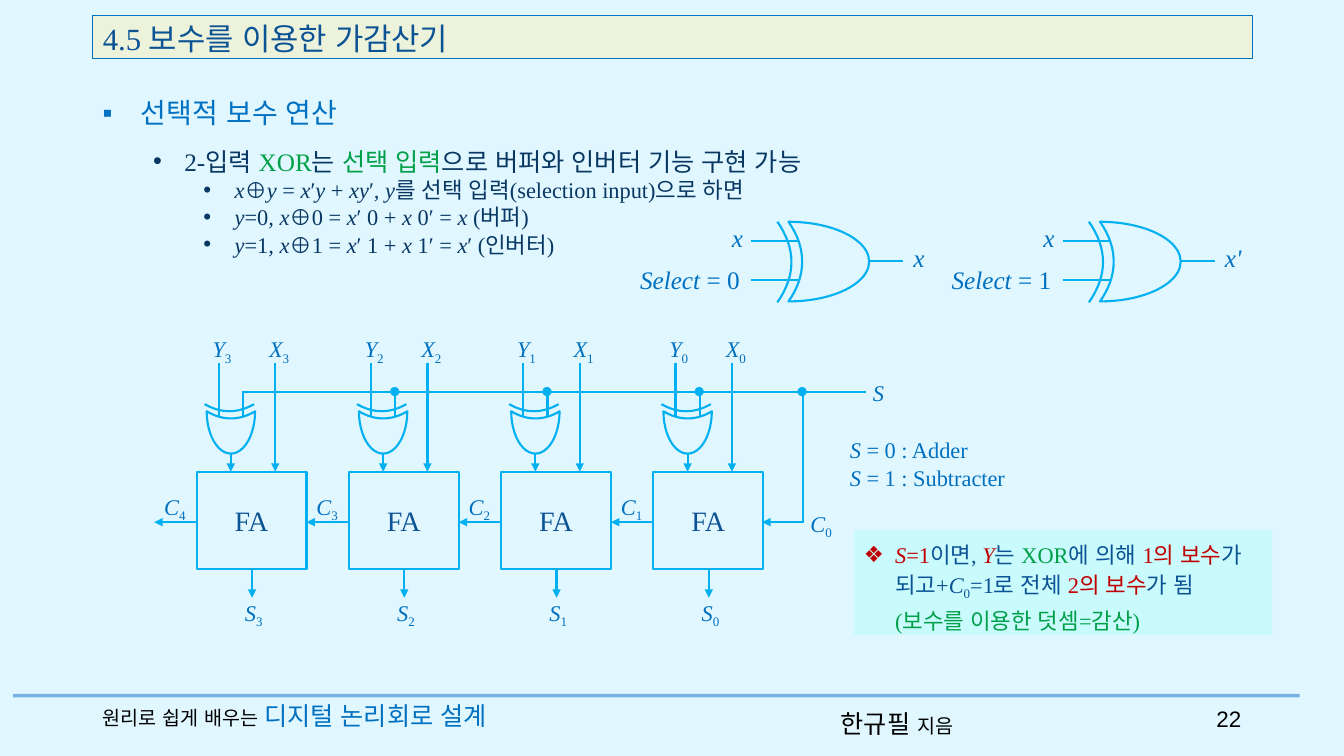
from dataclasses import dataclass
from typing import Any

from lxml.etree import SubElement
from pptx import Presentation
from pptx.dml.color import RGBColor
from pptx.enum.shapes import MSO_CONNECTOR as Link, MSO_SHAPE as Preset
from pptx.enum.text import MSO_ANCHOR as Anchor, MSO_AUTO_SIZE as Fit, PP_ALIGN as Align
from pptx.oxml.ns import qn
from pptx.util import Inches, Pt

SERIF, KOREAN, SANS = "Times New Roman", "Noto Sans CJK KR", "Arial"
COLORS = {
    "page": "E1F7FF", "banner": "EDF3DB", "callout": "C9FAFC", "wire": "00B0F0",
    "label": "0070C0", "title": "0B5394", "ink": "083763", "green": "00A048",
    "red": "C00000", "black": "000000", "rule": "0F6FC6",
}
BITS = 4
PITCH = 1.51


def rgb(hue):
    """Look up a palette colour."""
    return RGBColor.from_string(COLORS[hue])


def write(paragraph, pieces, face=SERIF):
    """Add (markup, hue, size) pieces; *italic*, _subscript_, newline breaks the line."""
    for markup, hue, size in pieces:
        for i, slanted in enumerate(markup.split("*")):
            for j, lowered in enumerate(slanted.split("_")):
                for k, words in enumerate(lowered.split("\n")):
                    if k:
                        paragraph.add_line_break()
                    if not words:
                        continue
                    run = paragraph.add_run()
                    run.text = words
                    font = run.font
                    font.name, font.size, font.italic = face, Pt(size), i % 2 == 1
                    font.color.rgb = rgb(hue)
                    props = run._r.get_or_add_rPr()
                    SubElement(props, qn("a:ea")).set("typeface", SANS)
                    if j % 2:
                        props.set("baseline", "-25000")


def bullet(paragraph, mark, indent, hang):
    """Give a paragraph a bullet with a hanging indent in inches."""
    props = paragraph._p.get_or_add_pPr()
    props.set("marL", str(Inches(indent)))
    props.set("indent", str(-Inches(hang)))
    SubElement(props, qn("a:buFont")).set("typeface", SANS)
    SubElement(props, qn("a:buChar")).set("char", mark)


def paint(shape, fill=None, line=None, width=1.5):
    """Set fill and outline and drop the shadow."""
    shape.shadow.inherit = False
    if fill:
        shape.fill.solid()
        shape.fill.fore_color.rgb = rgb(fill)
    else:
        shape.fill.background()
    if line:
        shape.line.color.rgb = rgb(line)
        shape.line.width = Pt(width)
    else:
        shape.line.fill.background()


@dataclass
class Region:
    """An area of the slide whose parts are placed from its top left corner."""
    shapes: Any
    left: float
    top: float

    def at(self, x, y):
        """Turn region inches into slide lengths."""
        return Inches(self.left + x), Inches(self.top + y)

    def text(self, x, y, width, height, pieces, face=SERIF, wrap=False):
        """Place a text box and return its frame."""
        frame = self.shapes.add_textbox(*self.at(x, y), Inches(width), Inches(height)).text_frame
        frame.word_wrap, frame.auto_size = wrap, Fit.NONE
        write(frame.paragraphs[0], pieces, face)
        return frame

    def label(self, x, y, width, markup, size=16, height=0.37):
        """Place a signal label."""
        return self.text(x, y, width, height, [(markup, "label", size)])

    def wire(self, x1, y1, x2, y2, arrow=False, hue="wire", width=1.5):
        """Draw a straight wire, with an arrowhead at its end if asked."""
        wire = self.shapes.add_connector(Link.STRAIGHT, *self.at(x1, y1), *self.at(x2, y2))
        wire.line.color.rgb = rgb(hue)
        wire.line.width = Pt(width)
        if arrow:
            SubElement(wire.line._get_or_add_ln(), qn("a:tailEnd")).set("type", "triangle")
        SubElement(wire._element.spPr, qn("a:effectLst"))
        return wire

    def block(self, preset, x, y, width, height, fill=None, line="wire"):
        """Place a preset shape."""
        block = self.shapes.add_shape(preset, *self.at(x, y), Inches(width), Inches(height))
        paint(block, fill, line)
        return block

    def body(self, x, y, width, height, turn):
        """Draw the body of an XOR gate, turned by the given degrees."""
        body = self.block(Preset.MOON, x, y, width, height, "page")
        body.adjustments[0] = 0.83
        body.rotation = turn

    def arc(self, x, y, length, depth, down=False):
        """Draw the input arc of an XOR gate as two curves, bulging right or down."""
        shares = [(0, 0), (2 / 3, 1 / 6), (1, 1 / 3), (1, 1 / 2), (1, 2 / 3), (2 / 3, 5 / 6), (0, 1)]
        points = [(depth * bulge, length * along) for bulge, along in shares]
        if down:
            points = [(along, bulge) for bulge, along in points]
        places = [self.at(x + dx, y + dy) for dx, dy in points]
        outline = self.shapes.build_freeform(*places[0])
        outline.add_line_segments(places[1:], close=False)
        arc = outline.convert_to_shape()
        track = arc._element.spPr.find(".//" + qn("a:path"))
        segments = track.findall(qn("a:lnTo"))
        for start in (0, 3):
            curve = SubElement(track, qn("a:cubicBezTo"))
            for segment in segments[start:start + 3]:
                curve.append(segment[0])
                track.remove(segment)
        paint(arc, line="wire")


def banner(title):
    """Format the slide title as a framed strip."""
    title.left, title.top, title.width, title.height = map(Inches, (0.92, 0.15, 11.5, 0.43))
    paint(title, "banner", "label", 0.75)
    frame = title.text_frame
    frame.auto_size, frame.vertical_anchor = Fit.NONE, Anchor.TOP
    frame.paragraphs[0].alignment = Align.LEFT
    write(frame.paragraphs[0], [("4.5 보수를 이용한 가감산기", "title", 22)])


def outline(region):
    """Write the heading and the XOR rules."""
    heading = region.text(0, 0, 3.53, 0.44, [("선택적 보수 연산", "label", 20)], KOREAN, True)
    bullet(heading.paragraphs[0], "▪", 0.38, 0.38)
    rules = region.text(0, 0.5, 11.5, 1.25, [
        ("2-입력 ", "ink", 18), ("XOR", "green", 18), ("는 ", "ink", 18),
        ("선택 입력", "green", 18), ("으로 버퍼와 인버터 기능 구현 가능", "ink", 18)], wrap=True)
    rules.paragraphs[0].line_spacing = Pt(21.5)
    rules.paragraphs[0].level = 1
    bullet(rules.paragraphs[0], "•", 0.81, 0.31)
    for rule in ("*x*⊕*y* = *x*′*y* + *xy*′*, y*를 선택 입력(selection input)으로 하면",
                 "*y*=0*, x*⊕0 = *x*′ 0 + *x *0′ = *x *(버퍼)",
                 "*y*=1*, x*⊕1 = *x*′ 1 + *x *1′ = *x*′ (인버터)"):
        line = rules.add_paragraph()
        line.level, line.line_spacing = 2, Pt(19.4)
        write(line, [(rule, "ink", 16)])
        bullet(line, "•", 1.31, 0.31)


def selector(region, select, result, result_width):
    """Draw an XOR gate with its select input fixed."""
    region.label(0.91, 0, 0.31, "*x*", 18, 0.4)
    region.label(0, 0.41, 1.2, f"*Select *= {select}", 18, 0.4)
    region.wire(2.37, 0.43, 2.71, 0.43)
    region.arc(1.46, 0.04, 0.8, 0.14)
    region.wire(1.2, 0.23, 1.67, 0.23)
    region.wire(1.2, 0.62, 1.69, 0.62)
    region.body(1.57, 0.04, 0.8, 0.79, 180)
    region.label(2.71, 0.19, result_width, result, 18, 0.4)


def stage(region, bit):
    """Draw one full adder with its XOR gate, inputs and outputs."""
    region.label(0.06, 0, 0.4, f"*Y*_{bit}_")
    region.label(0.62, 0, 0.41, f"*X*_{bit}_")
    region.label(-0.42, 1.56, 0.43, f"*C*_{bit + 1}_")
    region.label(0.38, 2.61, 0.39, f"*S*_{bit}_")
    adder = region.block(Preset.RECTANGLE, 0, 1.4, 1.09, 0.97).text_frame
    adder.vertical_anchor = Anchor.MIDDLE
    adder.paragraphs[0].alignment = Align.CENTER
    write(adder.paragraphs[0], [("FA", "title", 20)])
    region.wire(0.78, 0.32, 0.78, 1.4, True)
    region.wire(0.34, 1.12, 0.34, 1.4, True)
    region.wire(-0.01, 1.9, -0.42, 1.9, True)
    region.wire(0.55, 2.37, 0.55, 2.65, True)
    region.arc(0.08, 0.73, 0.49, 0.07, down=True)
    region.wire(0.46, 0.61, 0.46, 0.85)
    region.wire(0.22, 0.32, 0.22, 0.86)
    region.body(0.13, 0.77, 0.42, 0.48, 270)


def adder_subtracter(region):
    """Draw the chain of stages, the select line and its legend."""
    for column in range(BITS):
        stage(Region(region.shapes, region.left + column * PITCH, region.top), BITS - 1 - column)
    region.wire(0.45, 0.61, 6.64, 0.61)
    region.wire(6.01, 0.61, 6.01, 1.9)
    region.wire(6.02, 1.9, 5.61, 1.9, True)
    for x in [0.42 + column * PITCH for column in range(1, BITS)] + [5.97]:
        region.block(Preset.OVAL, x, 0.57, 0.07, 0.07, "wire")
    region.label(5.99, 1.73, 0.43, "*C*_0_")
    region.label(6.61, 0.43, 0.31, "*S*")
    legend = region.label(6.38, 1, 1.77, "*S *= 0 : Adder\n*S *= 1 : Subtracter", height=0.64)
    legend.paragraphs[0].line_spacing = Pt(19.4)


def callout(region):
    """Write the conclusion on a tinted panel."""
    frame = region.block(Preset.RECTANGLE, 0, 0, 4.15, 1.04, "callout", None).text_frame
    frame.vertical_anchor, frame.word_wrap = Anchor.TOP, True
    conclusion = frame.paragraphs[0]
    conclusion.alignment, conclusion.line_spacing = Align.LEFT, Pt(23.6)
    write(conclusion, [
        ("*S*=1", "red", 16), ("이면, ", "title", 16), ("*Y*", "red", 16), ("는 ", "title", 16),
        ("XOR", "green", 16), ("에 의해 ", "title", 16), ("1의 보수", "red", 16),
        ("가 되고+*C*_0_=1로 전체 ", "title", 16), ("2의 보수", "red", 16),
        ("가 됨\n", "title", 16), ("(보수를 이용한 덧셈=감산)", "green", 16)])
    bullet(conclusion, "❖", 0.31, 0.31)


def footer(region):
    """Draw the rule, book title, author and page number."""
    rule = region.wire(0, 0, 12.76, 0, hue="rule", width=2.5)
    tint = rule.line._get_or_add_ln().find(".//" + qn("a:srgbClr"))
    SubElement(tint, qn("a:alpha")).set("val", "50000")
    region.text(8.11, 0.08, 1.53, 0.4,
                [("한규필 ", "black", 18), ("지음", "black", 14)], KOREAN, True)
    region.text(0.79, 0, 4.63, 0.4,
                [("원리로 쉽게 배우는 ", "black", 14), ("디지털 논리회로 설계", "label", 18)], wrap=True)
    page = region.text(11.66, 0.05, 0.62, 0.4, [("22", "black", 16)], SANS, True)
    page.paragraphs[0].alignment = Align.RIGHT


def main():
    """Build the slide and save it."""
    deck = Presentation()
    deck.slide_width, deck.slide_height = Inches(13.33), Inches(7.5)
    slide = deck.slides.add_slide(deck.slide_layouts[5])
    slide.background.fill.solid()
    slide.background.fill.fore_color.rgb = rgb("page")
    shapes = slide.shapes
    banner(shapes.title)
    footer(Region(shapes, 0.13, 6.9))
    outline(Region(shapes, 0.92, 0.9))
    selector(Region(shapes, 6.25, 2.16), 0, "*x*", 0.31)
    selector(Region(shapes, 9.34, 2.16), 1, "*x'*", 0.37)
    adder_subtracter(Region(shapes, 1.95, 3.28))
    callout(Region(shapes, 8.47, 5.26))
    deck.save("out.pptx")


if __name__ == "__main__":
    main()
